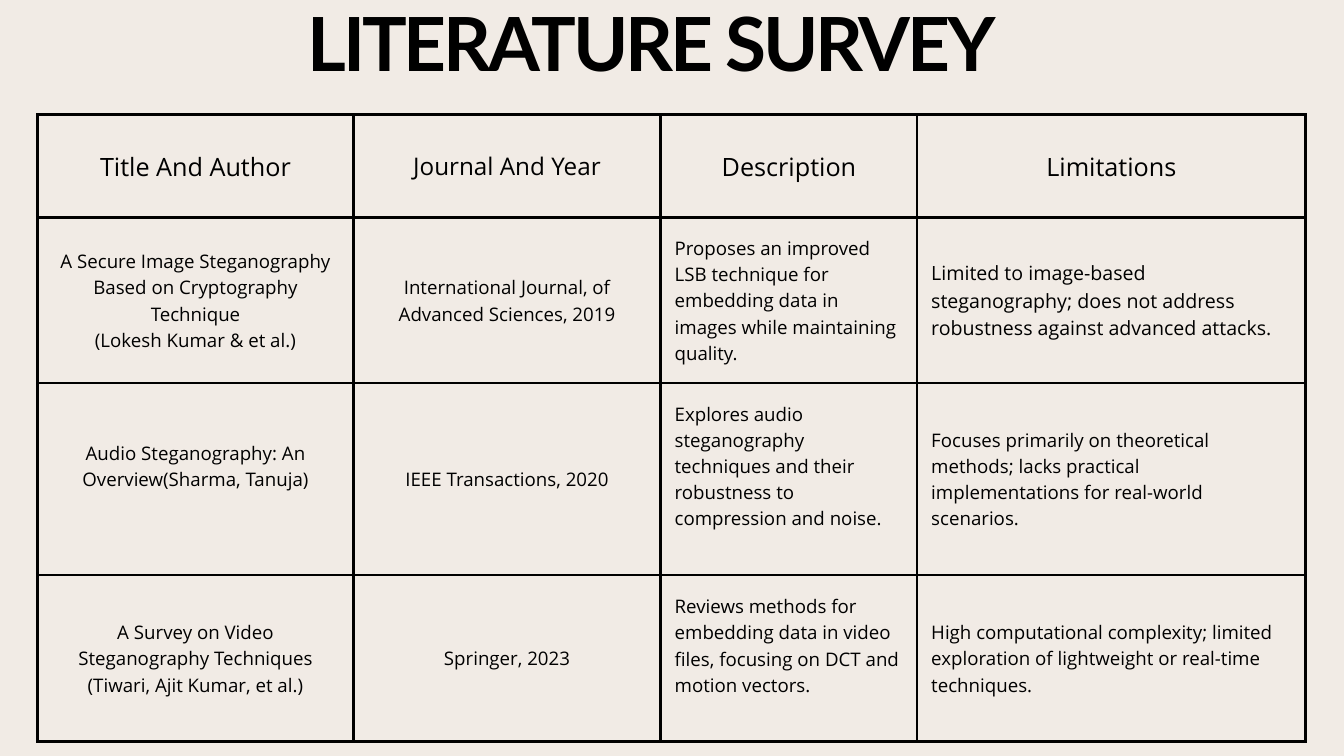
from dataclasses import dataclass

from lxml.etree import SubElement as Sub
from pptx import Presentation as Deck
from pptx.dml.color import RGBColor as Rgb
from pptx.enum.text import MSO_ANCHOR as Anchor, PP_ALIGN as Align
from pptx.oxml.ns import qn
from pptx.util import Cm, Pt


@dataclass(frozen=True)
class Theme:
    paper: Rgb = Rgb(0xF1, 0xEB, 0xE5)
    ink: Rgb = Rgb(0, 0, 0)
    head_font: str = "Lato"
    body_font: str = "Open Sans"
    title: int = 80
    head: int = 27
    body: int = 20
    track: float = -3.4
    lead: float = 1.4
    rule: int = 3
    pad: float = 0.53


COLS = (11.94, 11.61, 9.7, 14.68)
ROWS = (3.91, 6.25, 7.26, 6.3)
CELLS = (
    ("Title And Author", "Journal And Year", "Description", "Limitations"),
    ("A Secure Image Steganography Based on Cryptography Technique\n"
     "(Lokesh Kumar & et al.)",
     "International Journal, of Advanced Sciences, 2019",
     "Proposes an improved LSB technique for embedding data in images "
     "while maintaining quality.",
     "Limited to image-based steganography; does not address robustness "
     "against advanced attacks."),
    ("Audio Steganography: An Overview(Sharma, Tanuja)",
     "IEEE Transactions, 2020",
     "Explores audio steganography techniques and their robustness to "
     "compression and noise.",
     "Focuses primarily on theoretical methods; lacks practical "
     "implementations for real-world scenarios."),
    ("A Survey on Video Steganography Techniques\n"
     "(Tiwari, Ajit Kumar, et al.)",
     "Springer, 2023",
     "Reviews methods for embedding data in video files, focusing on DCT "
     "and motion vectors.",
     "High computational complexity; limited exploration of lightweight "
     "or real-time techniques."),
)
# (row, column) of cells that differ from the general rule
SIZES = {(0, 1): 26, (1, 3): 21}
RAISED = {(2, 0), (2, 2), (3, 2)}


def apply(item, values):
    for name, value in values.items():
        setattr(item, name, value)


class Page:
    """Holds the theme and the slide being built."""

    def __init__(self, deck, theme):
        self.theme = theme
        self.slide = deck.slides.add_slide(deck.slide_layouts[5])
        fill = self.slide.background.fill
        fill.solid()
        fill.fore_color.rgb = theme.paper

    def style(self, para, size, font, align, lead, bold=False):
        apply(para, {"alignment": align, "line_spacing": Pt(size * lead),
                     "space_before": Pt(0)})
        for run in para.runs:
            apply(run.font, {"name": font, "size": Pt(size), "bold": bold})
            run.font.color.rgb = self.theme.ink

    def title(self, text, left, top, width, height):
        look, shape = self.theme, self.slide.shapes.title
        apply(shape, {"left": Cm(left), "top": Cm(top),
                      "width": Cm(width), "height": Cm(height)})
        frame = shape.text_frame
        frame.text = text
        apply(frame, {"margin_left": 0, "margin_right": 0, "margin_top": 0,
                      "margin_bottom": 0, "word_wrap": True,
                      "vertical_anchor": Anchor.TOP})
        para = frame.paragraphs[0]
        self.style(para, look.title, look.head_font, Align.CENTER, 1, True)
        para.runs[0]._r.get_or_add_rPr().set("spc", f"{look.track * 100:.0f}")

    def border(self, cell):
        props = cell._tc.get_or_add_tcPr()
        for side in ("a:lnL", "a:lnR", "a:lnT", "a:lnB"):
            line = Sub(props, qn(side), w=str(Pt(self.theme.rule)))
            fill = Sub(line, qn("a:solidFill"))
            Sub(fill, qn("a:srgbClr"), val=str(self.theme.ink))

    def cell(self, cell, text, size, align, raised):
        """Fill one cell; a raised one keeps a line free below its text."""
        look = self.theme
        pad = Cm(look.pad)
        cell.text = text
        extra = Pt(size * look.lead) if raised else 0
        apply(cell, {"margin_left": pad, "margin_right": pad,
                     "margin_top": pad, "margin_bottom": pad + extra,
                     "vertical_anchor": Anchor.MIDDLE})
        self.border(cell)
        cell.fill.background()
        for para in cell.text_frame.paragraphs:
            self.style(para, size, look.body_font, align, look.lead)

    def table(self, left, top):
        look = self.theme
        table = self.slide.shapes.add_table(
            len(ROWS), len(COLS), Cm(left), Cm(top),
            Cm(sum(COLS)), Cm(sum(ROWS))).table
        apply(table, {"first_row": False, "horz_banding": False})
        for col, width in zip(table.columns, COLS):
            col.width = Cm(width)
        for row, height in zip(table.rows, ROWS):
            row.height = Cm(height)
        for r, texts in enumerate(CELLS):
            for c, text in enumerate(texts):
                size = SIZES.get((r, c), look.body if r else look.head)
                align = Align.LEFT if r and c > 1 else Align.CENTER
                self.cell(table.cell(r, c), text, size, align,
                          (r, c) in RAISED)


def main():
    deck = Deck()
    apply(deck, {"slide_width": Cm(50.8), "slide_height": Cm(28.58)})
    page = Page(deck, Theme())
    page.table(1.42, 4.32)
    page.title("LITERATURE SURVEY", 6.1, 0.43, 37.06, 2.95)
    deck.save("out.pptx")


if __name__ == "__main__":
    main()
